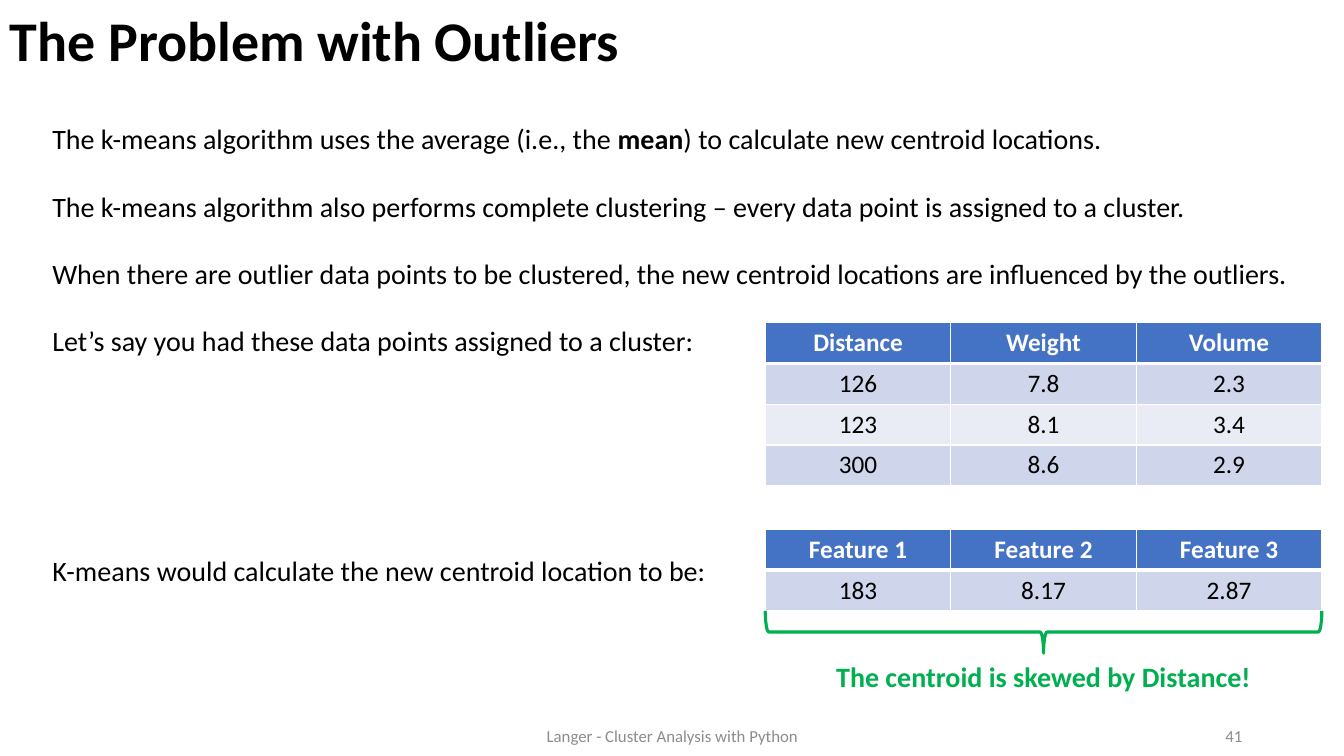
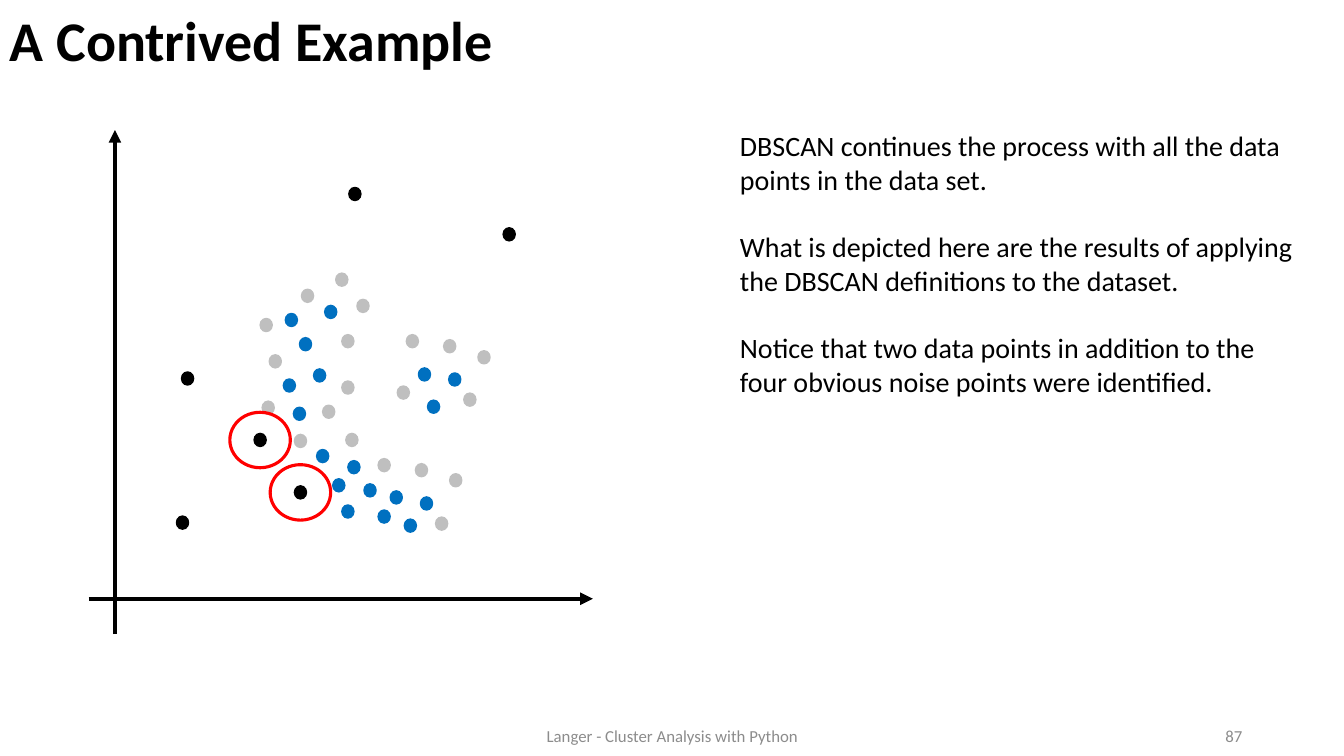
from dataclasses import dataclass

from lxml import etree
from pptx import Presentation
from pptx import util as u
from pptx.dml.color import RGBColor
from pptx.enum import shapes, text
from pptx.oxml import ns

EMU_PER_PX = 9144  # 100 px to the inch
ALIGN = text.PP_ALIGN
MIDDLE = text.MSO_ANCHOR.MIDDLE


@dataclass(frozen=True)
class Theme:
    font: str = "Calibri"
    title_size: int = 40
    body_size: int = 20
    table_size: int = 18
    footer_size: int = 12
    paragraph_gap: int = 24
    black: str = "000000"
    white: str = "FFFFFF"
    footer: str = "8C8C8C"
    header: str = "4472C4"
    bands: tuple = ("CFD5EA", "E9EBF5")
    callout: str = "00B050"
    core: str = "0070C0"
    border: str = "BFBFBF"
    ring: str = "FF0000"


T = Theme()
FOOTER = "Langer - Cluster Analysis with Python"

# Top-left corners of the dots, relative to the plot box
CORE = [(234, 174), (203, 275), (209, 206), (193, 247), (195, 182), (223, 237),
        (251, 372), (299, 358), (242, 346), (226, 317), (273, 351), (329, 364),
        (257, 328), (287, 377), (327, 236), (357, 241), (336, 268), (313, 386)]
BORDER = [(251, 203), (211, 158), (251, 249), (172, 269), (245, 142),
          (266, 168), (170, 187), (204, 302), (179, 223), (255, 301),
          (232, 273), (344, 384), (287, 326), (324, 331), (358, 341),
          (372, 261), (315, 203), (306, 254), (352, 208), (386, 219)]
OBVIOUS_NOISE = [(258, 57), (411, 97), (92, 240), (87, 383)]
FOUND_NOISE = [(204, 353), (164, 301)]


def px(*lengths):
    return [u.Emu(round(n * EMU_PER_PX)) for n in lengths]


def rgb(color):
    return RGBColor.from_string(color)


def add_runs(p, runs, size, color=T.black, align=ALIGN.LEFT):
    """Fill a paragraph with (text, bold) runs."""
    p.alignment = align
    for words, bold in runs:
        r = p.add_run()
        r.text = words
        r.font.name, r.font.size, r.font.bold = T.font, u.Pt(size), bold
        r.font.color.rgb = rgb(color)


def add_text(s, box, paragraphs, size=T.body_size, color=T.black,
             align=ALIGN.LEFT, anchor=text.MSO_ANCHOR.TOP):
    tf = s.shapes.add_textbox(*px(*box)).text_frame
    tf.word_wrap = True
    tf.vertical_anchor = anchor
    for i, runs in enumerate(paragraphs):
        p = tf.add_paragraph() if i else tf.paragraphs[0]
        if i:
            p.space_before = u.Pt(T.paragraph_gap)
        add_runs(p, runs, size, color, align)
    return tf


def add_outlined(parent, kind, box, line, width, fill=None):
    sp = parent.shapes.add_shape(kind, *px(*box))
    sp.shadow.inherit = False
    if fill:
        sp.fill.solid()
        sp.fill.fore_color.rgb = rgb(fill)
    else:
        sp.fill.background()
    sp.line.color.rgb = rgb(line)
    sp.line.width = u.Pt(width)
    return sp


def add_arrow(parent, *ends):
    c = parent.shapes.add_connector(shapes.MSO_CONNECTOR.STRAIGHT, *px(*ends))
    c.line.color.rgb = rgb(T.black)
    c.line.width = u.Pt(3)
    tail = etree.SubElement(c.line._get_or_add_ln(), ns.qn("a:tailEnd"))
    tail.set("type", "triangle")
    etree.SubElement(c._element.spPr, ns.qn("a:effectLst"))


def set_borders(cell, **widths):
    """Draw white cell borders; keys are L, R, T, B and values are points."""
    tc_pr = cell._tc.get_or_add_tcPr()
    for i, (side, width) in enumerate(widths.items()):
        ln = etree.Element(ns.qn(f"a:ln{side}"), w=str(u.Pt(width)))
        fill = etree.SubElement(ln, ns.qn("a:solidFill"))
        etree.SubElement(fill, ns.qn("a:srgbClr"), val=T.white)
        tc_pr.insert(i, ln)


def add_data_table(s, box, rows):
    table = s.shapes.add_table(len(rows), len(rows[0]), *px(*box)).table
    for i, values in enumerate(rows):
        table.rows[i].height = px(box[3] / len(rows))[0]
        is_header = i == 0
        for j, value in enumerate(values):
            cell = table.cell(i, j)
            cell.fill.solid()
            cell.fill.fore_color.rgb = rgb(
                T.header if is_header else T.bands[(i - 1) % 2])
            set_borders(cell, L=1, R=1, T=3 if i == 1 else 1,
                        B=3 if is_header else 1)
            add_runs(cell.text_frame.paragraphs[0], [(value, is_header)],
                     T.table_size, T.white if is_header else T.black,
                     ALIGN.CENTER)


def add_callout(s, box, words):
    """Brace across the top of the box, with its message below."""
    x, y, w, h = box
    depth = 42
    brace = add_outlined(s, shapes.MSO_SHAPE.RIGHT_BRACE,
                         (x + (w - depth) / 2, y + (depth - w) / 2, depth, w),
                         T.callout, 2.25)
    brace.rotation = 90
    add_text(s, (x + 27, y + depth + 1, w - 54, h - depth - 1),
             [[(words, True)]], color=T.callout, align=ALIGN.CENTER)


def add_scatter(s, box):
    x, y, w, h = box
    dot_w, dot_h, ring_w, ring_h = 12, 13, 60, 55
    oval = shapes.MSO_SHAPE.OVAL
    g = s.shapes.add_group_shape()
    for color, dots in ((T.border, BORDER), (T.core, CORE),
                        (T.black, OBVIOUS_NOISE + FOUND_NOISE)):
        for dx, dy in dots:
            add_outlined(g, oval, (x + dx, y + dy, dot_w, dot_h),
                         color, 1, color)
    add_arrow(g, x + 26, y + h, x + 26, y)
    add_arrow(g, x, y + 465, x + w, y + 465)
    for dx, dy in FOUND_NOISE:
        add_outlined(g, oval, (x + dx + (dot_w - ring_w) / 2,
                               y + dy + (dot_h - ring_h) / 2, ring_w, ring_h),
                     T.ring, 2.25)


def add_base_slide(prs, title, number):
    """Blank slide with the shared title, footer and slide number."""
    s = prs.slides.add_slide(prs.slide_layouts[6])
    tf = add_text(s, (0, 2, 1064, 83), [[(title, True)]], T.title_size,
                  anchor=MIDDLE)
    tf.paragraphs[0].line_spacing = 0.9
    for box, words, align in (((442, 710, 450, 40), FOOTER, ALIGN.CENTER),
                              ((942, 710, 300, 40), number, ALIGN.RIGHT)):
        add_text(s, box, [[(words, False)]], T.footer_size, T.footer, align,
                 MIDDLE)
    return s


def add_outliers_slide(prs):
    s = add_base_slide(prs, "The Problem with Outliers", "41")
    add_text(s, (42, 116, 1279, 246), [
        [("The k-means algorithm uses the average (i.e., the ", False),
         ("mean", True),
         (") to calculate new centroid locations.", False)],
        [("The k-means algorithm also performs complete clustering – every "
          "data point is assigned to a cluster.", False)],
        [("When there are outlier data points to be clustered, the new "
          "centroid locations are influenced by the outliers.", False)],
        [("Let’s say you had these data points assigned to a cluster:",
          False)],
    ])
    add_text(s, (42, 544, 678, 44), [
        [("K-means would calculate the new centroid location to be:", False)]])
    left, width = 759, 552
    add_data_table(s, (left, 320, width, 162), [
        ("Distance", "Weight", "Volume"),
        ("126", "7.8", "2.3"),
        ("123", "8.1", "3.4"),
        ("300", "8.6", "2.9"),
    ])
    add_data_table(s, (left, 525, width, 81), [
        ("Feature 1", "Feature 2", "Feature 3"),
        ("183", "8.17", "2.87"),
    ])
    add_callout(s, (left, 606, width, 87),
                "The centroid is skewed by Distance!")


def add_example_slide(prs):
    s = add_base_slide(prs, "A Contrived Example", "87")
    add_text(s, (724, 123, 582, 279), [[(words, False)] for words in (
        "DBSCAN continues the process with all the data points in the data "
        "set.",
        "What is depicted here are the results of applying the DBSCAN "
        "definitions to the dataset.",
        "Notice that two data points in addition to the four obvious noise "
        "points were identified.",
    )])
    add_scatter(s, (88, 129, 500, 500))


def main():
    prs = Presentation()
    prs.slide_width, prs.slide_height = px(1333, 750)
    add_outliers_slide(prs)
    add_example_slide(prs)
    prs.save("out.pptx")


if __name__ == "__main__":
    main()
